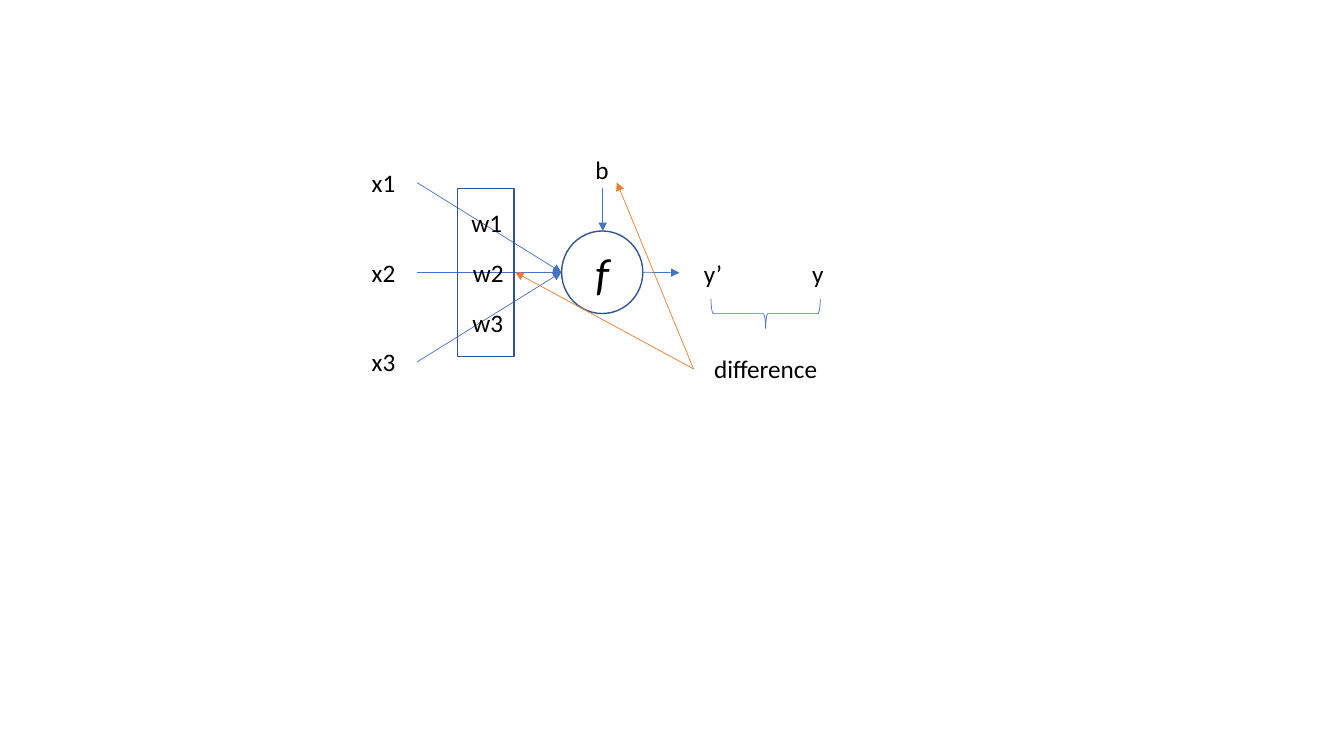
from pptx import Presentation
from pptx.dml.color import RGBColor
from pptx.enum.shapes import MSO_CONNECTOR, MSO_SHAPE
from pptx.enum.text import MSO_ANCHOR, PP_ALIGN
from pptx.oxml.ns import qn
from pptx.util import Pt
from lxml.etree import SubElement

BLACK, NAVY, BLUE, ORANGE = "000000", "325491", "4472C4", "ED7D31"
ROUND = MSO_SHAPE.FLOWCHART_CONNECTOR
FRAME = {"word_wrap": False, "vertical_anchor": MSO_ANCHOR.MIDDLE,
         "margin_left": 0, "margin_right": 0, "margin_top": 0, "margin_bottom": 0}


def tint(code):
    """Turn a hex string into a colour."""
    return RGBColor.from_string(code)


def apply(item, style):
    """Set each named value on the item."""
    for name, value in style.items():
        setattr(item, name, value)


def write(shape, text, **style):
    """Put centred text into a shape."""
    frame = shape.text_frame
    apply(frame, FRAME)
    para = frame.paragraphs[0]
    para.alignment = PP_ALIGN.CENTER
    run = para.add_run()
    run.text = text
    apply(run.font, {"name": "Calibri", "size": Pt(18), **style})
    run.font.color.rgb = tint(BLACK)


def shape(slide, box, kind, spot, line=None, width=1):
    """Add an unfilled shape at a spot inside the box."""
    left, top, wide, high = spot
    item = slide.shapes.add_shape(kind, Pt(box[0] + left), Pt(box[1] + top),
                                  Pt(wide), Pt(high))
    item.shadow.inherit = False
    item.fill.background()
    if line:
        item.line.color.rgb = tint(line)
        item.line.width = Pt(width)
    else:
        item.line.fill.background()
    return item


def label(slide, box, text, spot):
    """Add a round label with no outline."""
    write(shape(slide, box, ROUND, spot), text)


def arrow(slide, box, start, end, code=BLUE):
    """Add a thin arrow between two points of the box."""
    ends = [Pt(box[i] + point[i]) for point in (start, end) for i in (0, 1)]
    item = slide.shapes.add_connector(MSO_CONNECTOR.STRAIGHT, *ends)
    item.line.color.rgb = tint(code)
    item.line.width = Pt(0.5)
    SubElement(item.line._get_or_add_ln(), qn("a:tailEnd"), type="triangle")
    SubElement(item._element.spPr, qn("a:effectLst"))


def inputs(slide, box):
    """Draw the inputs, their arrows and the weights."""
    for row in range(3):
        top = 0.5 + 64 * row
        label(slide, box, f"x{row + 1}", (0, top, 48, 48))
        arrow(slide, box, (48, top + 24), (151, 88.5))
    for row, left in enumerate((68.3, 69.3, 68.9)):
        label(slide, box, f"w{row + 1}", (left, 28.6 + 36 * row, 59, 48))
    shape(slide, box, MSO_SHAPE.RECTANGLE, (77, 28.5, 40.3, 120.2), NAVY)


def neuron(slide, box):
    """Draw the function circle with its bias."""
    node = shape(slide, box, ROUND, (151.2, 59, 58, 59), NAVY)
    write(node, "f", size=Pt(32), italic=True)
    label(slide, box, "b", (165.5, 2, 29, 26.6))
    arrow(slide, box, (180.5, 28.5), (180.5, 59))


def output(slide, box):
    """Draw the result, the target and their difference."""
    for text, left in (("y’", 235.3), ("y", 310.2)):
        label(slide, box, text, (left, 64.6, 48, 49))
    arrow(slide, box, (209.3, 88.5), (235.3, 88.8))
    brace = shape(slide, box, MSO_SHAPE.LEFT_BRACE, (286.4, 79, 21, 78), BLUE, 0.5)
    brace.rotation = 270
    note = slide.shapes.add_textbox(Pt(box[0] + 245.4), Pt(box[1] + 138.1),
                                    Pt(103), Pt(38.2))
    write(note, "difference")


def feedback(slide, box):
    """Draw the arrows from the difference to bias and weights."""
    for end in ((190.6, 24.3), (118, 88.5)):
        arrow(slide, box, (245.4, 157.5), end, ORANGE)


def main():
    """Build and save the slide."""
    deck = Presentation()
    apply(deck, {"slide_width": Pt(960), "slide_height": Pt(540)})
    slide = deck.slides.add_slide(deck.slide_layouts[6])
    box = (250, 106)
    for part in (inputs, neuron, output, feedback):
        part(slide, box)
    deck.save("out.pptx")


main()
